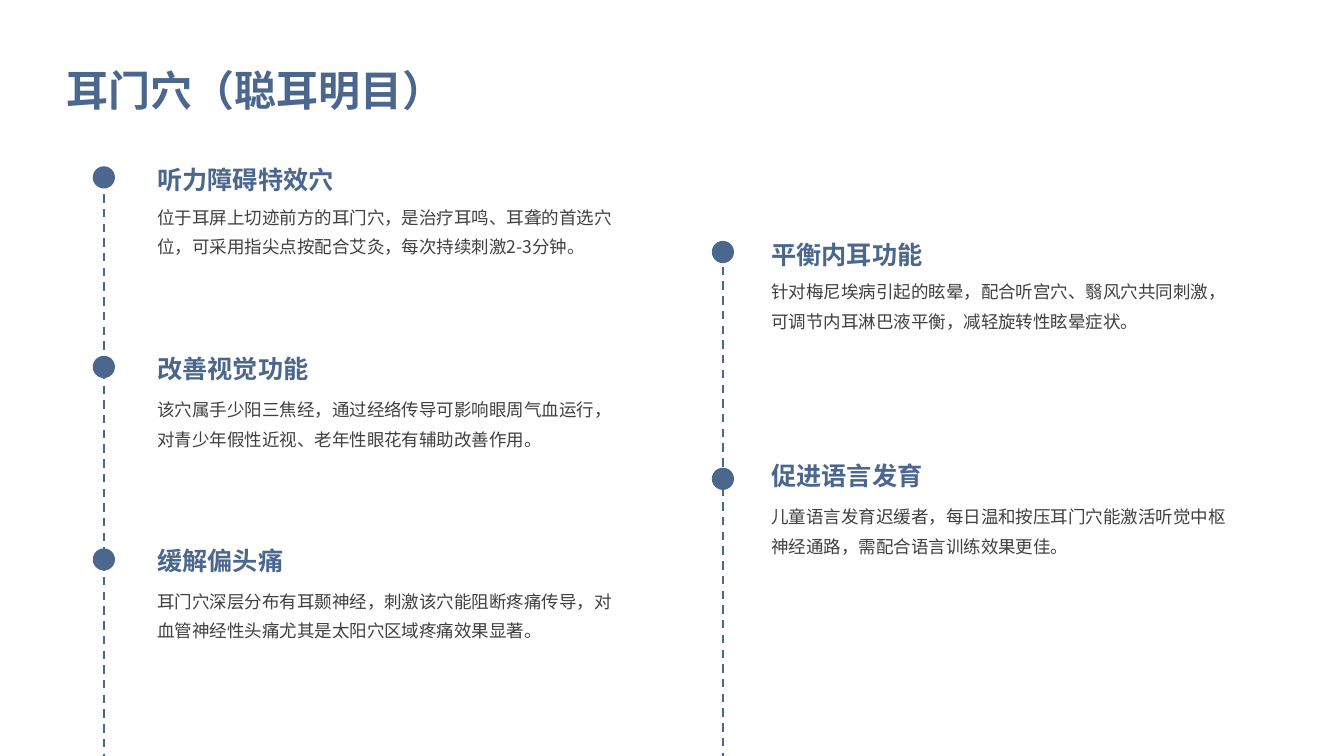
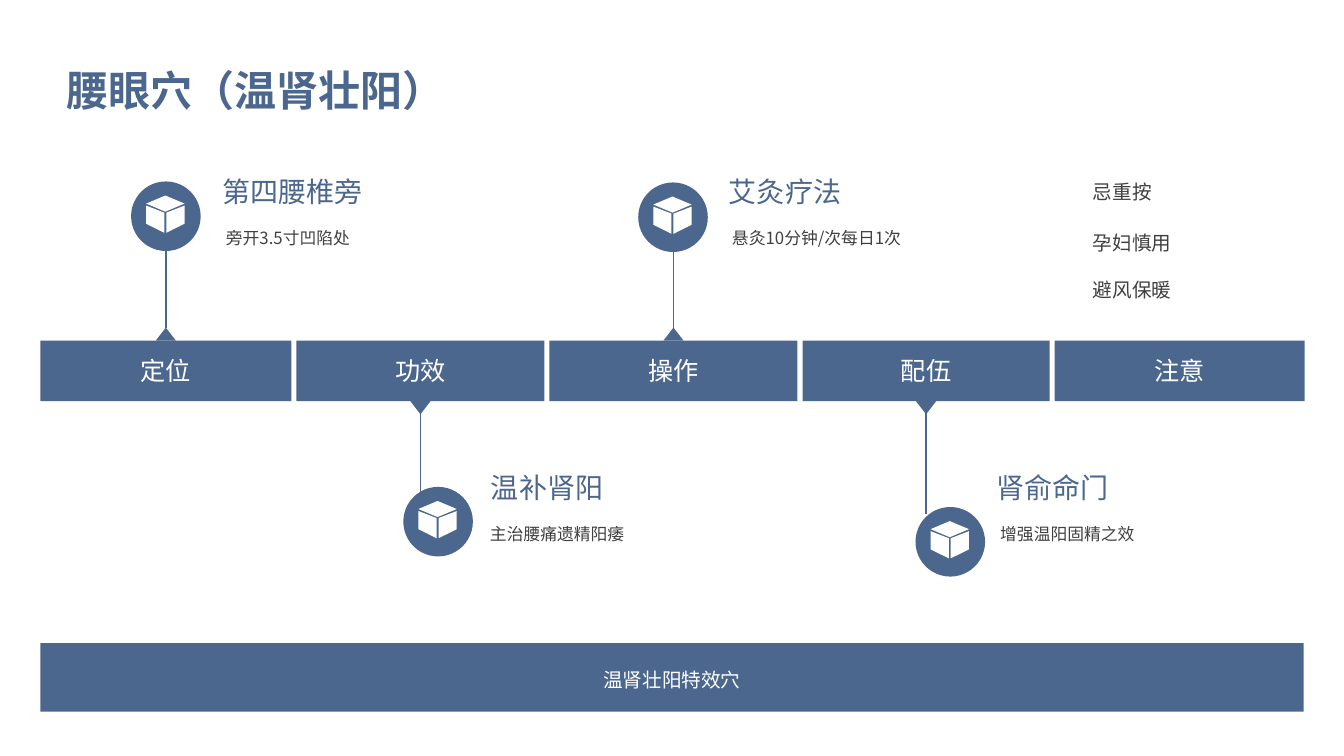
from lxml.etree import SubElement
from pptx import Presentation
from pptx.dml.color import RGBColor
from pptx.enum.dml import MSO_LINE
from pptx.enum.shapes import MSO_CONNECTOR, MSO_SHAPE
from pptx.enum.text import MSO_ANCHOR, MSO_AUTO_SIZE, PP_ALIGN
from pptx.oxml.ns import qn
from pptx.util import Inches, Pt

FONT = "Noto Sans CJK SC"
BLUE, GREY, WHITE = "4C678E", "404040", "FFFFFF"
SLIDE_WIDTH, SLIDE_HEIGHT = 13.33, 7.5

TITLE = dict(size=30, color=BLUE, bold=True, spacing=1.4, insets=(0.14, 0.14, 0.06, 0.14),
             anchor=MSO_ANCHOR.MIDDLE)
TRACK_HEAD = dict(size=18, color=BLUE, bold=True, spacing=1.2, insets=(0.14, 0.14, 0.06, 0.14))
TRACK_BODY = dict(size=12.5, color=GREY, spacing=1.4, insets=(0.14, 0, 0.06, 0))
CALLOUT_HEAD = dict(size=20, color=BLUE)
CALLOUT_BODY = dict(size=12, color=GREY, spacing=1.14)
CAUTION = dict(size=14, color=GREY, spacing=1.25)
BAR_LABEL = dict(size=18, color=WHITE, align=PP_ALIGN.CENTER, anchor=MSO_ANCHOR.MIDDLE)
BANNER = dict(BAR_LABEL, size=14, spacing=1.2)

DOT = 0.22
BAR_TOP, BAR_HEIGHT, BAR_GAP = 3.38, 0.6, 0.05
DISC = 0.69
POINTER_WIDTH, POINTER_HEIGHT = 0.2, 0.13
CUBE_FACES = [
    [(0.34, 0.14), (0.15, 0.22), (0.34, 0.3), (0.53, 0.22)],
    [(0.35, 0.31), (0.35, 0.51), (0.53, 0.42), (0.53, 0.24)],
    [(0.15, 0.42), (0.33, 0.51), (0.33, 0.31), (0.15, 0.24)],
]

# track: dot left, text left, line top, entries (dot top, head top, body top, head, body)
TRACKS = [
    (0.92, 1.42, 1.78, [
        (1.65, 1.43, 1.97, "听力障碍特效穴",
         "位于耳屏上切迹前方的耳门穴，是治疗耳鸣、耳聋的首选穴位，可采用指尖点按配合艾灸，每次持续刺激2-3分钟。"),
        (3.53, 3.31, 3.88, "改善视觉功能",
         "该穴属手少阳三焦经，通过经络传导可影响眼周气血运行，对青少年假性近视、老年性眼花有辅助改善作用。"),
        (5.44, 5.21, 5.78, "缓解偏头痛",
         "耳门穴深层分布有耳颞神经，刺激该穴能阻断疼痛传导，对血管神经性头痛尤其是太阳穴区域疼痛效果显著。"),
    ]),
    (7.06, 7.51, 2.5, [
        (2.39, 2.17, 2.71, "平衡内耳功能",
         "针对梅尼埃病引起的眩晕，配合听宫穴、翳风穴共同刺激，可调节内耳淋巴液平衡，减轻旋转性眩晕症状。"),
        (4.64, 4.37, 4.94, "促进语言发育",
         "儿童语言发育迟缓者，每日温和按压耳门穴能激活听觉中枢神经通路，需配合语言训练效果更佳。"),
    ]),
]

BARS = [("定位", 2.49), ("功效", 2.46), ("操作", 2.46), ("配伍", 2.45), ("注意", 2.48)]
# one per bar: above the bar, disc left and top, head left, body left, head, body
CALLOUTS = [
    (True, 1.3, 1.8, 2.21, 2.24, "第四腰椎旁", "旁开3.5寸凹陷处"),
    (False, 4, 4.83, 4.87, 4.86, "温补肾阳", "主治腰痛遗精阳痿"),
    (True, 6.33, 1.81, 7.23, 7.26, "艾灸疗法", "悬灸10分钟/次每日1次"),
    (False, 9.08, 5.03, 9.88, 9.92, "肾俞命门", "增强温阳固精之效"),
]
CAUTIONS = [(1.73, "忌重按"), (2.23, "孕妇慎用"), (2.7, "避风保暖")]


def rgb(color):
    return RGBColor.from_string(color)


def write(shape, text, style):
    frame = shape.text_frame
    left, top, right, bottom = style.get("insets", (0, 0, 0, 0))
    settings = dict(word_wrap=True, auto_size=MSO_AUTO_SIZE.NONE,
                    vertical_anchor=style.get("anchor", MSO_ANCHOR.TOP),
                    margin_left=Inches(left), margin_top=Inches(top),
                    margin_right=Inches(right), margin_bottom=Inches(bottom))
    for name, value in settings.items():
        setattr(frame, name, value)
    para = frame.paragraphs[0]
    para.alignment = style.get("align", PP_ALIGN.LEFT)
    para.line_spacing = style.get("spacing", 1.0)
    span = para.add_run()
    span.text = text
    span.font.color.rgb = rgb(style["color"])
    for name, value in dict(size=Pt(style["size"]), bold=style.get("bold", False), name=FONT).items():
        setattr(span.font, name, value)
    # East Asian glyphs take their typeface from a:ea
    SubElement(span.font._element, qn("a:ea"), typeface=FONT)


def add_text(page, left, top, width, height, text, style):
    box = page.shapes.add_textbox(*map(Inches, (left, top, width, height)))
    write(box, text, style)


def paint(shape, color):
    shape.shadow.inherit = False
    shape.fill.solid()
    shape.fill.fore_color.rgb = rgb(color)
    shape.line.fill.background()


def add_block(page, kind, left, top, width, height):
    shape = page.shapes.add_shape(kind, *map(Inches, (left, top, width, height)))
    paint(shape, BLUE)
    return shape


def add_vertical_line(page, x, top, bottom, weight, dash=None):
    line = page.shapes.add_connector(MSO_CONNECTOR.STRAIGHT, *map(Inches, (x, top, x, bottom)))
    line.line.color.rgb = rgb(BLUE)
    line.line.width = Pt(weight)
    if dash:
        line.line.dash_style = dash
    SubElement(line._element.spPr, qn("a:effectLst"))


def add_page(deck, title):
    page = deck.slides.add_slide(deck.slide_layouts[5])
    heading = page.shapes.title
    for name, value in dict(left=0.52, top=0.29, width=12.29, height=1).items():
        setattr(heading, name, Inches(value))
    write(heading, title, TITLE)
    return page


def add_track(page, dot_left, text_left, line_top, entries):
    """Draw a dashed line with a dot, a heading and a text for each entry."""
    for dot_top, head_top, body_top, head, body in entries:
        add_block(page, MSO_SHAPE.OVAL, dot_left, dot_top, DOT, DOT)
        add_text(page, text_left, head_top, 4.83, 0.66, head, TRACK_HEAD)
        add_text(page, text_left, body_top, 4.83, 1.33, body, TRACK_BODY)
    add_vertical_line(page, dot_left + DOT / 2, line_top, SLIDE_HEIGHT, 1.5, MSO_LINE.DASH)


def add_bars(page, left):
    """Draw the row of labelled bars and return the centre of each."""
    centres = []
    for label, width in BARS:
        bar = add_block(page, MSO_SHAPE.RECTANGLE, left, BAR_TOP, width, BAR_HEIGHT)
        write(bar, label, BAR_LABEL)
        centres.append(left + width / 2)
        left += width + BAR_GAP
    return centres


def add_cube_disc(page, left, top):
    add_block(page, MSO_SHAPE.OVAL, left, top, DISC, DISC)
    faces = [[(Inches(left + x), Inches(top + y)) for x, y in face] for face in CUBE_FACES]
    builder = page.shapes.build_freeform(*faces[0][0])
    for index, face in enumerate(faces):
        if index:
            builder.move_to(*face[0])
        builder.add_line_segments(face[1:], close=True)
    paint(builder.convert_to_shape(), WHITE)


def add_callout(page, centre, above, disc_left, disc_top, head_left, body_left, head, body):
    """Join a bar's centre to a disc with a heading and a text beside it."""
    pointer_top = BAR_TOP - POINTER_HEIGHT if above else BAR_TOP + BAR_HEIGHT
    pointer = add_block(page, MSO_SHAPE.ISOSCELES_TRIANGLE, centre - POINTER_WIDTH / 2,
                        pointer_top, POINTER_WIDTH, POINTER_HEIGHT)
    pointer.rotation = 0 if above else 180
    line_top = 2.23 if above else 4.08
    add_vertical_line(page, centre, line_top, line_top + 1.02, 1)
    add_cube_disc(page, disc_left, disc_top)
    head_top = 1.73 if above else 4.67
    add_text(page, head_left, head_top, 2.5, 0.36, head, CALLOUT_HEAD)
    add_text(page, body_left, head_top + 0.5, 2.61, 0.71, body, CALLOUT_BODY)


def build_track_page(deck):
    page = add_page(deck, "耳门穴（聪耳明目）")
    for track in TRACKS:
        add_track(page, *track)


def build_bar_page(deck):
    page = add_page(deck, "腰眼穴（温肾壮阳）")
    centres = add_bars(page, 0.4)
    for centre, callout in zip(centres, CALLOUTS):
        add_callout(page, centre, *callout)
    for top, text in CAUTIONS:
        add_text(page, 10.84, top, 2, 0.3, text, CAUTION)
    banner = add_block(page, MSO_SHAPE.RECTANGLE, 0.4, 6.38, 12.53, 0.68)
    write(banner, "温肾壮阳特效穴", BANNER)


def main():
    deck = Presentation()
    deck.slide_width, deck.slide_height = Inches(SLIDE_WIDTH), Inches(SLIDE_HEIGHT)
    build_track_page(deck)
    build_bar_page(deck)
    deck.save("out.pptx")


if __name__ == "__main__":
    main()
